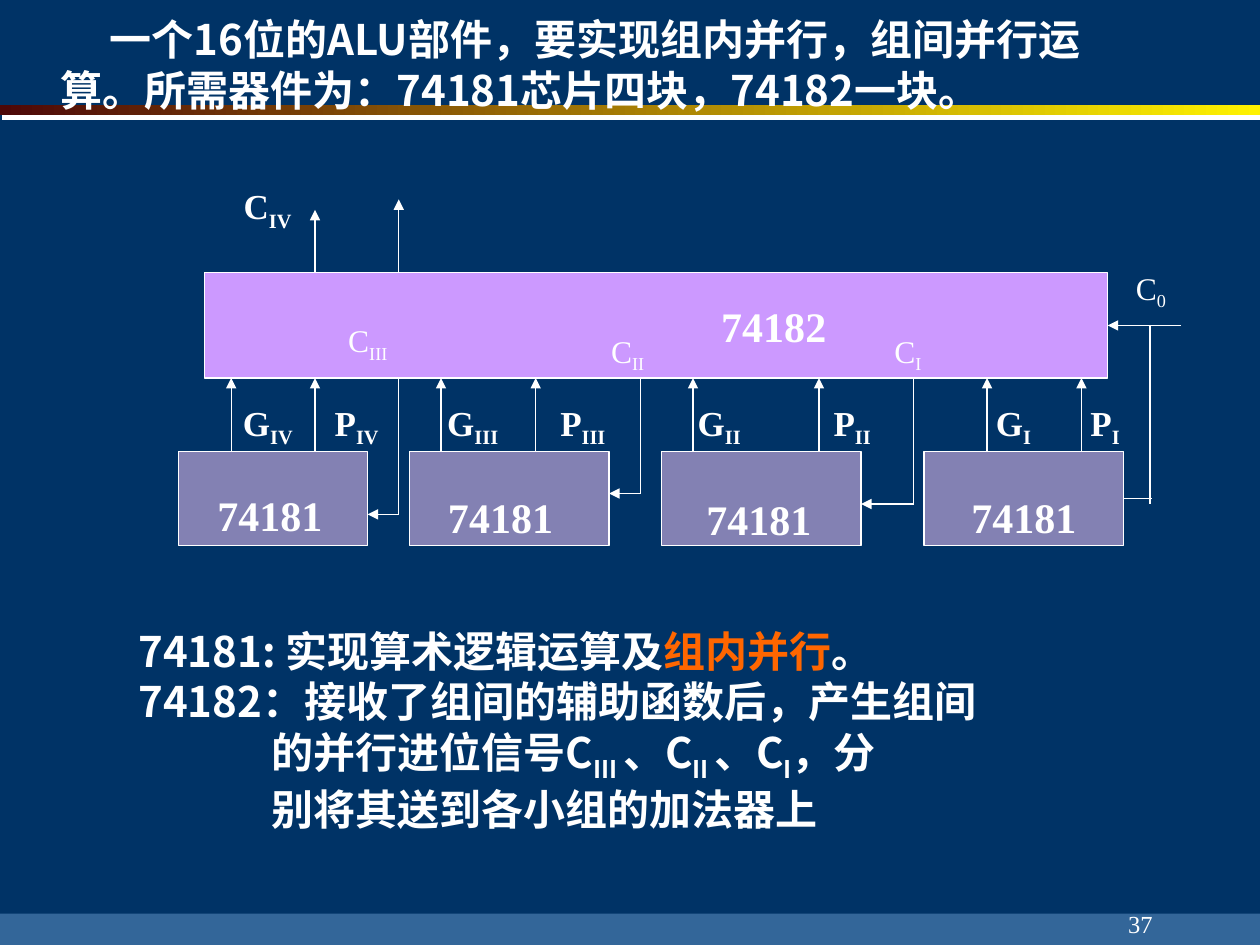
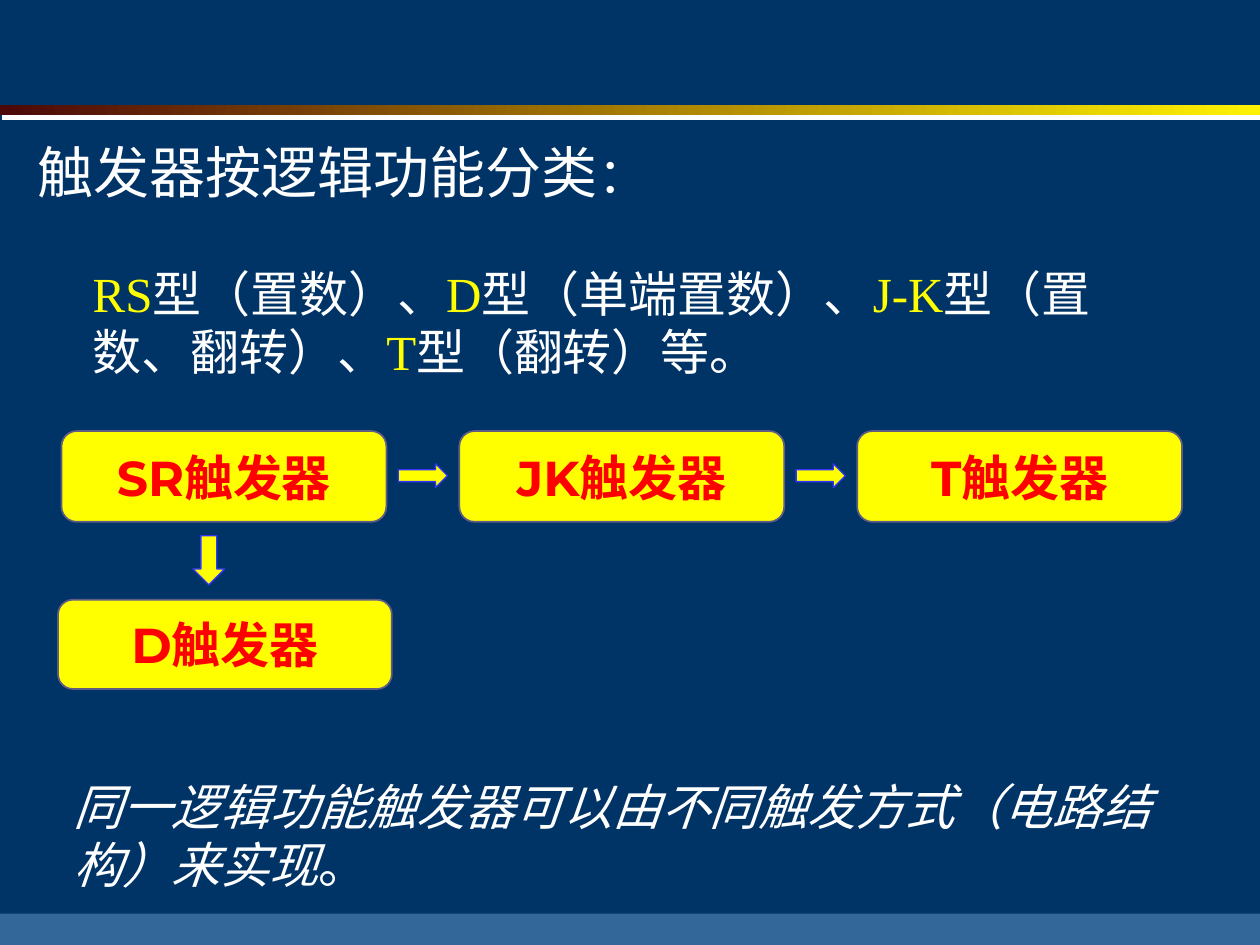
from lxml.etree import SubElement
from pptx import Presentation
from pptx.dml.color import RGBColor
from pptx.enum.shapes import MSO_CONNECTOR, MSO_SHAPE as Preset
from pptx.enum.text import MSO_ANCHOR as Anchor, PP_ALIGN as Align
from pptx.oxml.ns import qn
from pptx.util import Cm, Pt

NAVY = RGBColor(0x00, 0x33, 0x66)
STEEL = RGBColor(0x33, 0x66, 0x99)
MAROON = RGBColor(0x4D, 0x08, 0x08)
GOLD = RGBColor(0xFF, 0xF2, 0x00)
WHITE = RGBColor(0xFF, 0xFF, 0xFF)
ORANGE = RGBColor(0xFF, 0x66, 0x00)
YELLOW = RGBColor(0xFF, 0xFF, 0x00)
RED = RGBColor(0xFF, 0x00, 0x00)
BLUE = RGBColor(0x33, 0x33, 0xFF)
LILAC = RGBColor(0xCC, 0x99, 0xFF)
VIOLET = RGBColor(0x83, 0x81, 0xB3)
SLATE = RGBColor(0x5F, 0x5D, 0x83)

SERIF = "Times New Roman"
SANS = "Noto Sans CJK SC"
DISPLAY = "Montserrat"
SUB = "subscript"

# Content: a paragraph is a list of runs, a run is (text, colour or SUB or None)
ALU_TITLE = [("一个16位的ALU部件，要实现组内并行，组间并行运算。"
              "所需器件为：74181芯片四块，74182一块。", None)]
ALU_NOTES = [
    (0, [("74181: 实现算术逻辑运算及", None), ("组内并行", ORANGE), ("。", None)]),
    (0, [("74182：接收了组间的辅助函数后，产生组间", None)]),
    (2.69, [("的并行进位信号C", None), ("III ", SUB), ("、C", None), ("II ", SUB),
            ("、C", None), ("I", SUB), ("，分", None)]),
    (2.69, [("别将其送到各小组的加法器上", None)]),
]
PAGE_NUMBER = "37"

# Lengths are in centimetres
CARRY_BOX = (4.13, 5.5, 18.2, 2.12)
CHIP_TOP, CHIP_HEIGHT = 9.1, 1.9
# group, chip left, width, number label (centre, top), G arrow, G label, P arrow, P label;
# labels are placed by their centres
GROUPS = [
    ("IV", 3.6, 3.81, (5.44, 9.74), 4.66, 5.4, 6.35, 7.19),
    ("III", 8.26, 4.02, (10.09, 9.78), 8.89, 9.53, 10.8, 11.75),
    ("II", 13.34, 4.02, (15.3, 9.82), 13.97, 14.5, 16.51, 17.18),
    ("I", 18.63, 4.02, (20.64, 9.78), 19.9, 20.43, 21.8, 22.28),
]
LABEL_WIDTH = 3
# carry line x, height at which it turns, right side of the chip it enters
CARRY_LINES = [(8.04, 10.37, 7.41), (12.91, 9.95, 12.28), (18.42, 10.16, 17.36)]
CARRY_LABELS = [("III", 6.77, 6.35), ("II", 12.07, 6.56), ("I", 17.78, 6.56),
                ("0", 22.65, 5.29)]
OUTPUTS = [(6.35, 4.23), (8.04, 4.02)]

FLIP_FLOP_TITLE = [("触发器按逻辑功能分类", None), ("：", None)]
FLIP_FLOP_TYPES = [
    ("RS", YELLOW), ("型（置数）、", None), ("D", YELLOW), ("型（单端置数）、", None),
    ("J-K", YELLOW), ("型（置数、翻转）、", None), ("T", YELLOW), ("型（翻转）等。", None)]
FLIP_FLOP_NOTE = [("同一逻辑功能触发器可以由不同触发方式（电路结构）来实现", None), ("。", None)]
FLIP_FLOP_CHAIN = ["SR触发器", "JK触发器", "T触发器"]
CHAIN_LEFT, CHAIN_TOP, CHAIN_STEP = 1.24, 8.69, 8.02


def box_of(values):
    return [Cm(value) for value in values]


def write(paragraph, runs, size, font=SERIF, bold=False, color=WHITE, align=Align.LEFT):
    for text, style in runs:
        run = paragraph.add_run()
        run.text = text
        if style == SUB:
            run._r.get_or_add_rPr().set("baseline", "-25000")
        elif style is not None:
            run.font.color.rgb = style
    paragraph.alignment = align
    paragraph.font.size = Pt(size)
    paragraph.font.name = font
    paragraph.font.bold = bold
    paragraph.font.color.rgb = color


def indent(paragraph, left=0, first=0):
    properties = paragraph._p.get_or_add_pPr()
    properties.set("marL", str(Cm(left)))
    properties.set("indent", str(Cm(first)))


def add_text(slide, box, runs, size, anchor=Anchor.TOP, wrap=True, **style):
    frame = slide.shapes.add_textbox(*box_of(box)).text_frame
    frame.word_wrap = wrap
    frame.vertical_anchor = anchor
    write(frame.paragraphs[0], runs, size, **style)
    return frame


def add_label(slide, center, top, height, runs, size):
    add_text(slide, (center - LABEL_WIDTH / 2, top, LABEL_WIDTH, height), runs, size,
             Anchor.MIDDLE, bold=True, align=Align.CENTER)


def add_block(slide, preset, box, fill, line=None, width=0.75):
    shape = slide.shapes.add_shape(preset, *box_of(box))
    shape.shadow.inherit = False
    shape.fill.solid()
    shape.fill.fore_color.rgb = fill
    if line is None:
        shape.line.fill.background()
    else:
        shape.line.color.rgb = line
        shape.line.width = Pt(width)
    return shape


def add_line(slide, start, end, arrow=False):
    line = slide.shapes.add_connector(MSO_CONNECTOR.STRAIGHT, *box_of(start + end))
    line.line.color.rgb = WHITE
    line.line.width = Pt(0.75)
    if arrow:
        SubElement(line.line._get_or_add_ln(), qn("a:tailEnd"), type="triangle")
    SubElement(line.element.spPr, qn("a:effectLst"))
    return line


def set_title(slide, box, runs, size, **style):
    title = slide.shapes.title
    title.left, title.top, title.width, title.height = box_of(box)
    title.text_frame.vertical_anchor = Anchor.TOP
    paragraph = title.text_frame.paragraphs[0]
    write(paragraph, runs, size, **style)
    return paragraph


def dress_master(presentation, slide):
    """Draw the background, footer bar and gold band, and move them to the master."""
    master = presentation.slide_master
    master.background.fill.solid()
    master.background.fill.fore_color.rgb = NAVY
    footer = add_block(slide, Preset.RECTANGLE, (0, 18.42, 25.4, 0.63), STEEL)
    band = add_block(slide, Preset.RECTANGLE, (0, 2.12, 25.4, 0.2), GOLD)
    band.fill.gradient()
    band.fill.gradient_angle = 0
    for stop, color, position in zip(band.fill.gradient_stops, (MAROON, GOLD), (0, 1)):
        stop.color.rgb = color
        stop.position = position
    effects = band.element.spPr.find(qn("a:effectLst"))
    shadow = SubElement(effects, qn("a:outerShdw"), dist=str(Pt(3.2)),
                        dir=str(72 * 60000), algn="ctr", rotWithShape="0")
    SubElement(shadow, qn("a:srgbClr"), val=str(WHITE))
    for shape in (footer, band):
        master.shapes._spTree.append(shape.element)


def build_alu_slide(slide):
    title = set_title(slide, (0.97, 0.15, 21.39, 2.46), ALU_TITLE, 24, font=SANS, bold=True)
    indent(title, first=0.99)
    add_text(slide, (18.21, 17.78, 5.28, 1.27), [(PAGE_NUMBER, None)], 14,
             Anchor.BOTTOM, False, align=Align.RIGHT)

    notes = add_text(slide, (2.54, 12.07, 22.02, 5.28), ALU_NOTES[0][1], 24,
                     Anchor.MIDDLE, False, font=SANS, bold=True)
    for left, runs in ALU_NOTES[1:]:
        paragraph = notes.add_paragraph()
        indent(paragraph, left)
        write(paragraph, runs, 24, font=SANS, bold=True)

    carry_top = CARRY_BOX[1]
    carry_bottom = carry_top + CARRY_BOX[3]
    carry_middle = carry_top + CARRY_BOX[3] / 2
    carry_right = CARRY_BOX[0] + CARRY_BOX[2]
    carry_unit = add_block(slide, Preset.RECTANGLE, CARRY_BOX, LILAC, WHITE)
    carry_unit.text_frame.margin_left = Cm(10.41)
    write(carry_unit.text_frame.paragraphs[0], [("74182", None)], 24, bold=True)

    chips = []
    for group, left, width, number, g_arrow, g_label, p_arrow, p_label in GROUPS:
        chips.append(add_block(slide, Preset.RECTANGLE,
                               (left, CHIP_TOP, width, CHIP_HEIGHT), VIOLET, WHITE))
        add_label(slide, *number, 1.27, [("74181", None)], 24)
        for letter, arrow, label in (("G", g_arrow, g_label), ("P", p_arrow, p_label)):
            add_line(slide, (arrow, CHIP_TOP), (arrow, carry_bottom), arrow=True)
            add_label(slide, label, 8.04, 1.06, [(letter, None), (group, SUB)], 20)

    for x, turn, chip_right in CARRY_LINES:
        add_line(slide, (x, carry_bottom), (x, turn))
        add_line(slide, (x, turn), (chip_right, turn), arrow=True)
    for x, tip in OUTPUTS:
        add_line(slide, (x, carry_top), (x, tip), arrow=True)

    carry_in = add_line(slide, (23.81, carry_middle), (carry_right, carry_middle), arrow=True)
    carry_in.end_connect(carry_unit, 3)
    add_line(slide, (23.18, carry_middle), (23.18, 10.16))
    first_carry = add_line(slide, (22.65, 10.05), (23.23, 10.05))
    first_carry.begin_connect(chips[-1], 3)

    for name, left, top in CARRY_LABELS:
        add_text(slide, (left, top, 1.69, 1.12), [("C", None), (name, SUB)], 18)
    add_text(slide, (4.66, 3.6, 1.69, 1.22), [("C", None), ("IV", SUB)], 20, bold=True)


def add_flip_flop(slide, box, name):
    shape = add_block(slide, Preset.FLOWCHART_ALTERNATE_PROCESS, box, YELLOW, SLATE, 1)
    write(shape.text_frame.paragraphs[0], [(name, None)], 28, font=DISPLAY, bold=True,
          color=RED, align=Align.CENTER)


def build_flip_flop_slide(slide):
    title = set_title(slide, (0.5, 2.64, 22.4, 1.65), FLIP_FLOP_TITLE, 32, font=DISPLAY)
    title.runs[1].font.size = Pt(28)
    title.runs[1].font.name = SERIF

    types = add_text(slide, (0.5, 5.18, 22.4, 2.64), FLIP_FLOP_TYPES, 28)
    indent(types.paragraphs[0], 1.12)

    for index, name in enumerate(FLIP_FLOP_CHAIN):
        shift = index * CHAIN_STEP
        add_flip_flop(slide, (CHAIN_LEFT + shift, CHAIN_TOP, 6.55, 1.83), name)
        if index < len(FLIP_FLOP_CHAIN) - 1:
            add_block(slide, Preset.RIGHT_ARROW, (8.03 + shift, 9.35, 0.99, 0.48),
                      YELLOW, BLUE)
    add_flip_flop(slide, (1.17, 12.09, 6.73, 1.8), "D触发器")
    add_block(slide, Preset.DOWN_ARROW, (3.89, 10.8, 0.64, 0.99), YELLOW, BLUE)

    note = add_text(slide, (1.24, 15.52, 22.71, 2.64), FLIP_FLOP_NOTE, 28)
    note.paragraphs[0].runs[0].font.italic = True


def main():
    presentation = Presentation()
    presentation.slide_width, presentation.slide_height = Cm(25.4), Cm(19.05)
    title_only = presentation.slide_layouts[5]
    alu_slide = presentation.slides.add_slide(title_only)
    dress_master(presentation, alu_slide)
    build_alu_slide(alu_slide)
    build_flip_flop_slide(presentation.slides.add_slide(title_only))
    presentation.save("out.pptx")


if __name__ == "__main__":
    main()
